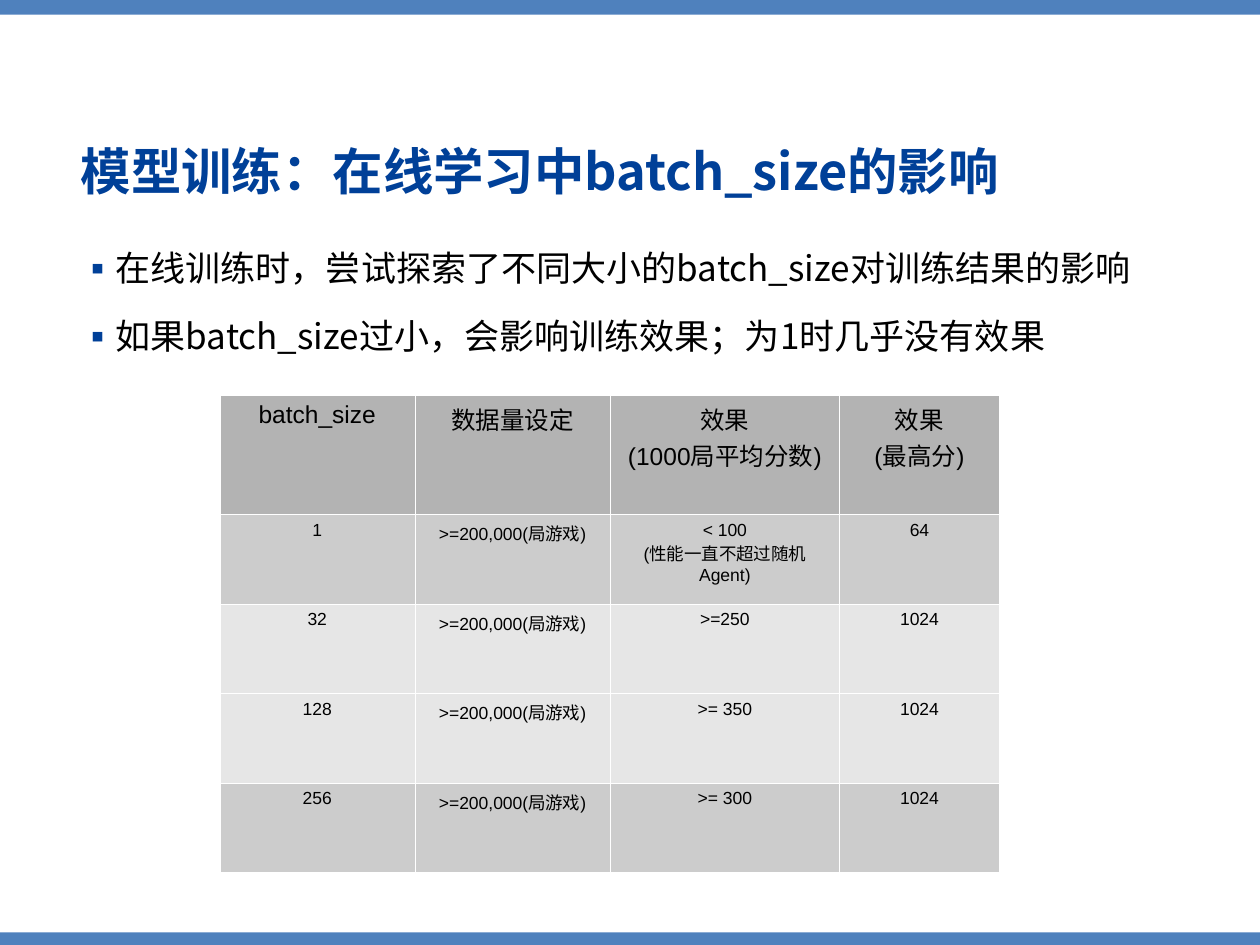
from lxml.etree import SubElement
from pptx import Presentation
from pptx.dml.color import RGBColor
from pptx.enum.shapes import MSO_SHAPE
from pptx.enum.text import MSO_ANCHOR, MSO_AUTO_SIZE, PP_ALIGN
from pptx.oxml.ns import qn
from pptx.util import Pt

SLIDE_WIDTH, SLIDE_HEIGHT = 720, 540
CJK_FONT = "Noto Sans CJK SC"
COLORS = {
    "bar": "4F81BD",
    "accent": "004098",
    "text": "000000",
    "border": "FFFFFF",
    "header": "B3B3B3",
    "dark row": "CCCCCC",
    "light row": "E6E6E6",
}

TITLE = "模型训练：在线学习中batch_size的影响"
POINTS = [
    "在线训练时，尝试探索了不同大小的batch_size对训练结果的影响",
    "如果batch_size过小，会影响训练效果；为1时几乎没有效果",
]
GAMES = ">=200,000(局游戏)"
COLUMN_WIDTHS = [111.6, 111.6, 131.04, 91.44]
ROW_HEIGHT = 51.1
ROWS = [
    ("header", ["batch_size", "数据量设定", "效果\n(1000局平均分数)", "效果\n(最高分)"]),
    ("dark row", ["1", GAMES, "< 100\n(性能一直不超过随机Agent)", "64"]),
    ("light row", ["32", GAMES, ">=250", "1024"]),
    ("light row", ["128", GAMES, ">= 350", "1024"]),
    ("dark row", ["256", GAMES, ">= 300", "1024"]),
]


def rgb(name):
    return RGBColor.from_string(COLORS[name])


def place(shape, box):
    shape.left, shape.top, shape.width, shape.height = map(Pt, box)


def add_run(paragraph, text, size, color="text", latin=CJK_FONT, bold=False):
    run = paragraph.add_run()
    run.text = text
    font = run.font
    font.size, font.bold, font.name = Pt(size), bold, latin
    font.color.rgb = rgb(color)
    SubElement(font._element, qn("a:ea"), typeface=CJK_FONT)


def add_bullet(paragraph):
    properties = paragraph._p.get_or_add_pPr()
    properties.set("marL", str(Pt(18)))
    properties.set("indent", str(-Pt(18)))
    color = SubElement(properties, qn("a:buClr"))
    SubElement(color, qn("a:srgbClr"), val=COLORS["accent"])
    SubElement(properties, qn("a:buFont"), typeface=CJK_FONT)
    SubElement(properties, qn("a:buChar"), char="▪")


def add_bar(slide, box):
    bar = slide.shapes.add_shape(MSO_SHAPE.RECTANGLE, *map(Pt, box))
    bar.shadow.inherit = False
    bar.fill.solid()
    bar.fill.fore_color.rgb = rgb("bar")
    bar.line.fill.background()


def fill_title(slide, box):
    title = slide.shapes.title
    place(title, box)
    frame = title.text_frame
    frame.auto_size = MSO_AUTO_SIZE.NONE
    frame.vertical_anchor = MSO_ANCHOR.MIDDLE
    paragraph = frame.paragraphs[0]
    paragraph.alignment = PP_ALIGN.LEFT
    paragraph.line_spacing = 0.9
    add_run(paragraph, TITLE, 28.8, "accent", bold=True)


def fill_body(slide, box):
    body = slide.placeholders[1]
    place(body, box)
    frame = body.text_frame
    frame.auto_size = MSO_AUTO_SIZE.NONE
    for index, text in enumerate(POINTS):
        paragraph = frame.add_paragraph() if index else frame.paragraphs[0]
        paragraph.line_spacing = 1.2
        paragraph.space_before = Pt(10)
        add_bullet(paragraph)
        add_run(paragraph, text, 20)


def format_cell(cell, text, size, fill):
    properties = cell._tc.get_or_add_tcPr()
    for side in "LRTB":
        line = SubElement(properties, qn(f"a:ln{side}"), w=str(Pt(0.06)))
        solid = SubElement(line, qn("a:solidFill"))
        SubElement(solid, qn("a:srgbClr"), val=COLORS["border"])
    cell.fill.solid()
    cell.fill.fore_color.rgb = rgb(fill)
    frame = cell.text_frame
    for index, part in enumerate(text.split("\n")):
        paragraph = frame.add_paragraph() if index else frame.paragraphs[0]
        paragraph.alignment = PP_ALIGN.CENTER
        add_run(paragraph, part, size, latin="Arial")


def add_results_table(slide, left, top):
    box = (left, top, sum(COLUMN_WIDTHS), ROW_HEIGHT * len(ROWS))
    table = slide.shapes.add_table(len(ROWS), len(COLUMN_WIDTHS), *map(Pt, box)).table
    for column, width in zip(table.columns, COLUMN_WIDTHS):
        column.width = Pt(width)
    for row, (fill, texts) in zip(table.rows, ROWS):
        row.height = Pt(ROW_HEIGHT)
        for cell, text in zip(row.cells, texts):
            format_cell(cell, text, 14 if fill == "header" else 10, fill)


def main():
    presentation = Presentation()
    presentation.slide_width = Pt(SLIDE_WIDTH)
    presentation.slide_height = Pt(SLIDE_HEIGHT)
    slide = presentation.slides.add_slide(presentation.slide_layouts[1])
    add_bar(slide, (0, SLIDE_HEIGHT - 7.2, SLIDE_WIDTH, 7.2))
    add_bar(slide, (0, 0, SLIDE_WIDTH, 8.4))
    fill_body(slide, (38.9, 132.5, 659.5, 387.4))
    fill_title(slide, (38.9, 77, 659.5, 45.4))
    add_results_table(slide, 125.5, 225.5)
    presentation.save("out.pptx")


if __name__ == "__main__":
    main()
